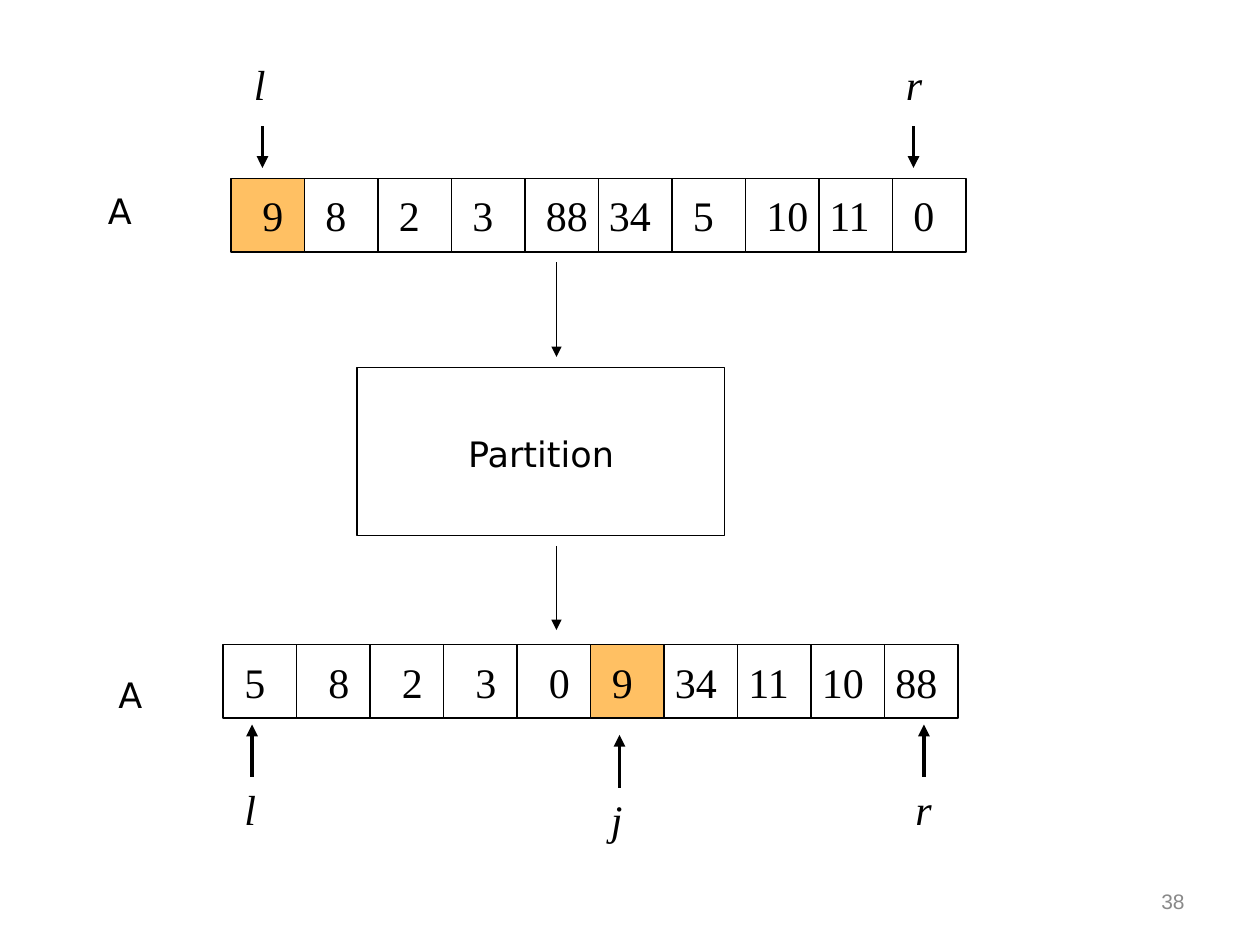
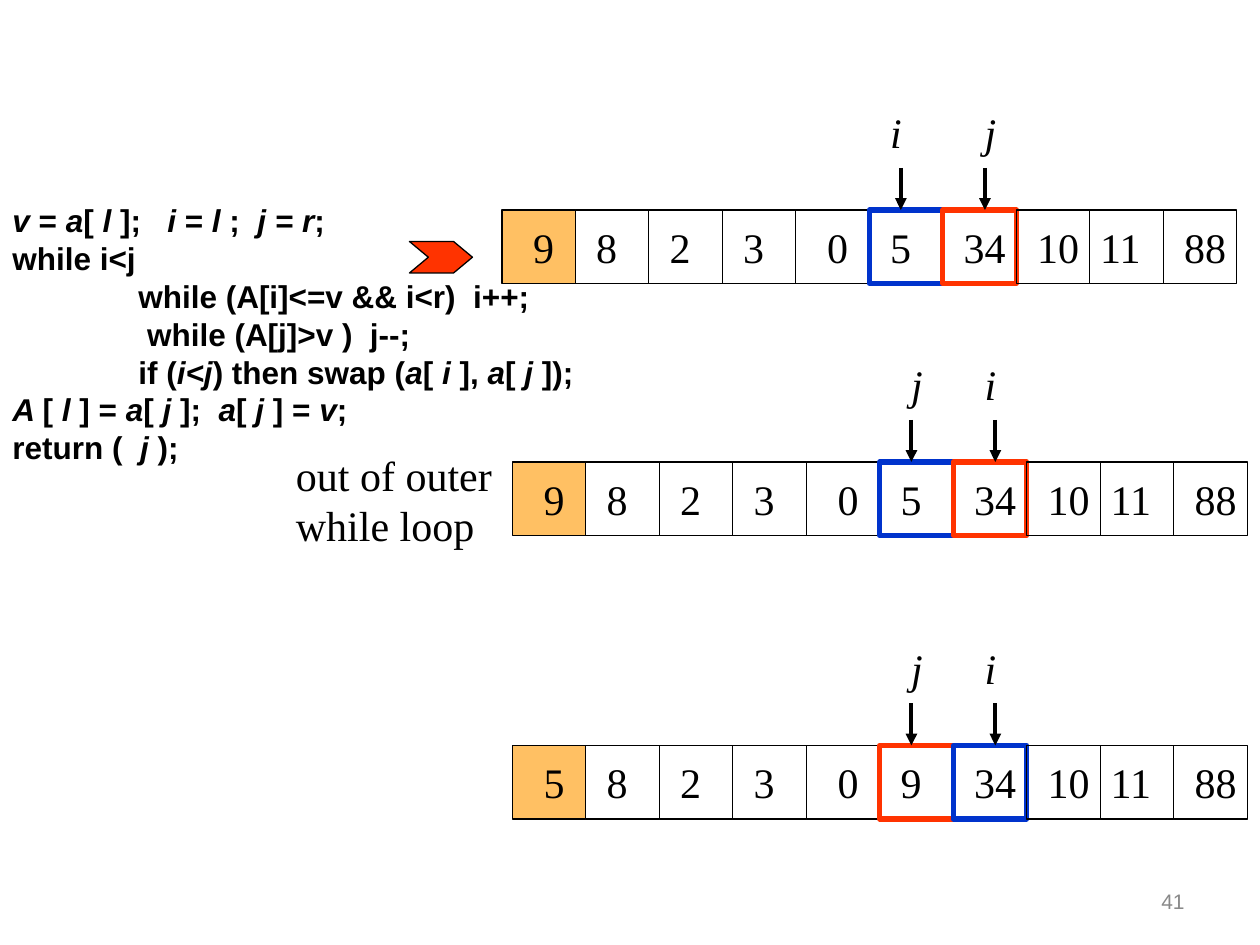
from itertools import accumulate

from lxml.etree import SubElement
from pptx import Presentation
from pptx.dml.color import RGBColor
from pptx.enum.shapes import MSO_CONNECTOR, MSO_SHAPE
from pptx.enum.text import MSO_ANCHOR, PP_ALIGN
from pptx.oxml.ns import qn
from pptx.util import Inches, Pt

# Shared look; every length is in grid units of 1/12 inch (slide: 120 x 90)
COLUMNS, ROWS = 120, 90
CELL = 7
BLACK, GREY, PIVOT, BLUE, RED = "000000", "898989", "FFC063", "0033CC", "FF3300"
SERIF, SANS, UI = "Times New Roman", "Arial", "DejaVu Sans"
THIN, MEDIUM, THICK = 0.75, 2.25, 3

# Slide 1: values, spaces between them, pivot index, left, top, text offset
PARTITION_ARRAYS = [
    dict(values=[9, 8, 2, 3, 88, 34, 5, 10, 11, 0],
         gaps=[4, 5, 5, 5, 2, 4, 5, 2, 4], pivot=0, left=22, top=17, indent=1.8),
    dict(values=[5, 8, 2, 3, 0, 9, 34, 11, 10, 88],
         gaps=[6, 5, 5, 5, 4, 4, 3, 3, 3], pivot=5, left=21.25, top=61.4, indent=0.85),
]
ARRAY_NAMES = [(9.1, 17.5), (10.1, 63.6)]
# letter, its left and top, arrow column, arrow start and end
PARTITION_MARKERS = [
    ("l", 23, 5, 25, 12, 16), ("r", 85.1, 5, 87, 12, 16),
    ("l", 22.1, 74, 24, 74, 69), ("j", 57, 75, 59, 75, 70), ("r", 86, 74, 88, 74, 69),
]
FLOW_COLUMN, FLOW_ARROWS = 53, [(25, 34), (52, 60)]

# Slide 2: array states with (letter, letter left, arrow column) markers
STEP_GAPS = [4, 5, 5, 6, 4, 5, 3, 2, 4]
STEPS = [
    dict(values=[9, 8, 2, 3, 0, 5, 34, 10, 11, 88], left=47.8, top=20,
         borders={5: BLUE, 6: RED}, markers=[("i", 83.6, 85.8), ("j", 92.6, 93.8)]),
    dict(values=[9, 8, 2, 3, 0, 5, 34, 10, 11, 88], left=48.8, top=44,
         borders={5: BLUE, 6: RED}, markers=[("i", 92.6, 94.8), ("j", 85.6, 86.8)]),
    dict(values=[5, 8, 2, 3, 0, 9, 34, 10, 11, 88], left=48.8, top=71,
         borders={5: RED, 6: BLUE}, markers=[("i", 92.6, 94.8), ("j", 85.6, 86.8)]),
]
# Asterisks enclose italics
CODE = [
    "*v *= *a*[ *l *];   *i* = *l *;  *j = r*;",
    "while i<j",
    "\twhile (A[i]<=v && i<r)  i++;",
    "\t while (A[j]>v )  j--;",
    "\tif (*i<j*) then swap (*a*[ *i *], *a*[ *j *]);",
    "*A *[ *l *] = *a*[ *j *];  *a*[ *j *] = *v*;",
    "return (  *j *);",
]
COMMENT = ["out of outer", "while loop"]


def units(n):
    return Inches(n / 12)


def rgb(color):
    return RGBColor.from_string(color)


# Drawing helpers
def add_text(slide, lines, left, top, width, height, size=24, font=SERIF, color=BLACK,
             bold=False, italic=False, align=PP_ALIGN.LEFT, anchor=MSO_ANCHOR.TOP, tabs=()):
    frame = slide.shapes.add_textbox(*map(units, (left, top, width, height))).text_frame
    frame.word_wrap = True
    frame.vertical_anchor = anchor
    for n, line in enumerate(lines):
        paragraph = frame.paragraphs[0] if n == 0 else frame.add_paragraph()
        paragraph.alignment = align
        if tabs:
            stops = SubElement(paragraph._p.get_or_add_pPr(), qn("a:tabLst"))
            for stop in tabs:
                SubElement(stops, qn("a:tab"), pos=str(int(units(stop))), algn="l")
        for part, piece in enumerate(line.split("*")):
            if piece:
                run = paragraph.add_run()
                run.text = piece
                run.font.size, run.font.name = Pt(size), font
                run.font.bold, run.font.italic = bold, italic or part % 2 == 1
                run.font.color.rgb = rgb(color)


def add_outline(slide, left, top, width, height, kind=MSO_SHAPE.RECTANGLE,
                fill=None, line=BLACK, weight=THIN):
    shape = slide.shapes.add_shape(kind, *map(units, (left, top, width, height)))
    shape.shadow.inherit = False
    if fill:
        shape.fill.solid()
        shape.fill.fore_color.rgb = rgb(fill)
    else:
        shape.fill.background()
    shape.line.color.rgb, shape.line.width = rgb(line), Pt(weight)
    return shape


def add_arrow(slide, column, start, end, weight=MEDIUM):
    arrow = slide.shapes.add_connector(
        MSO_CONNECTOR.STRAIGHT, *map(units, (column, start, column, end)))
    arrow.line.color.rgb, arrow.line.width = rgb(BLACK), Pt(weight)
    SubElement(arrow.line._get_or_add_ln(), qn("a:tailEnd"), type="triangle")
    SubElement(arrow._element.spPr, qn("a:effectLst"))


def add_marker(slide, letter, left, top, column, start, end):
    add_text(slide, [letter], left, top, 3.8, 6, italic=True)
    add_arrow(slide, column, start, end)


def add_array(slide, values, gaps, left, top, pivot=0, indent=1.8, borders={}):
    for n in range(len(values)):
        add_outline(slide, left + n * CELL, top, CELL, CELL,
                    fill=PIVOT if n == pivot else None,
                    line=borders.get(n, BLACK), weight=THICK if n in borders else THIN)
    # At 24 pt a space is one unit wide and a digit two
    stops = accumulate(2 * len(str(value)) + gap for value, gap in zip(values, gaps))
    add_text(slide, ["\t".join(map(str, values))], left + indent, top + 0.5, 72, 6,
             tabs=list(stops))


def add_slide(deck, number):
    slide = deck.slides.add_slide(deck.slide_layouts[6])
    add_text(slide, [str(number)], 86, 83.4, 28, 4.8, size=12, font=SANS, color=GREY,
             align=PP_ALIGN.RIGHT, anchor=MSO_ANCHOR.MIDDLE)
    return slide


# Slides
def build_partition(deck):
    slide = add_slide(deck, 38)
    for array in PARTITION_ARRAYS:
        add_array(slide, **array)
    for left, top in ARRAY_NAMES:
        add_text(slide, ["A"], left, top, 4.6, 5.3, size=20, font=UI)
    add_outline(slide, 34, 35, 35, 16)
    add_text(slide, ["Partition"], 43.4, 40.6, 16.9, 5.3, size=20, font=UI)
    for start, end in FLOW_ARROWS:
        add_arrow(slide, FLOW_COLUMN, start, end, THIN)
    for marker in PARTITION_MARKERS:
        add_marker(slide, *marker)


def build_steps(deck):
    slide = add_slide(deck, 41)
    for step in STEPS:
        top = step["top"]
        add_array(slide, step["values"], STEP_GAPS, step["left"], top,
                  borders=step["borders"])
        for letter, left, column in step["markers"]:
            add_marker(slide, letter, left, top - 10.4, column, top - 4, top)
    pointer = add_outline(slide, 39, 23, 6, 3, kind=MSO_SHAPE.CHEVRON, fill=RED)
    pointer.adjustments[0] = 0.6
    add_text(slide, COMMENT, 27, 42.2, 22, 10.8)
    add_text(slide, CODE, 0, 18.6, 57, 26.4, size=18, font=SANS, bold=True, tabs=[12])


def main():
    deck = Presentation()
    deck.slide_width, deck.slide_height = units(COLUMNS), units(ROWS)
    build_partition(deck)
    build_steps(deck)
    deck.save("out.pptx")


if __name__ == "__main__":
    main()
